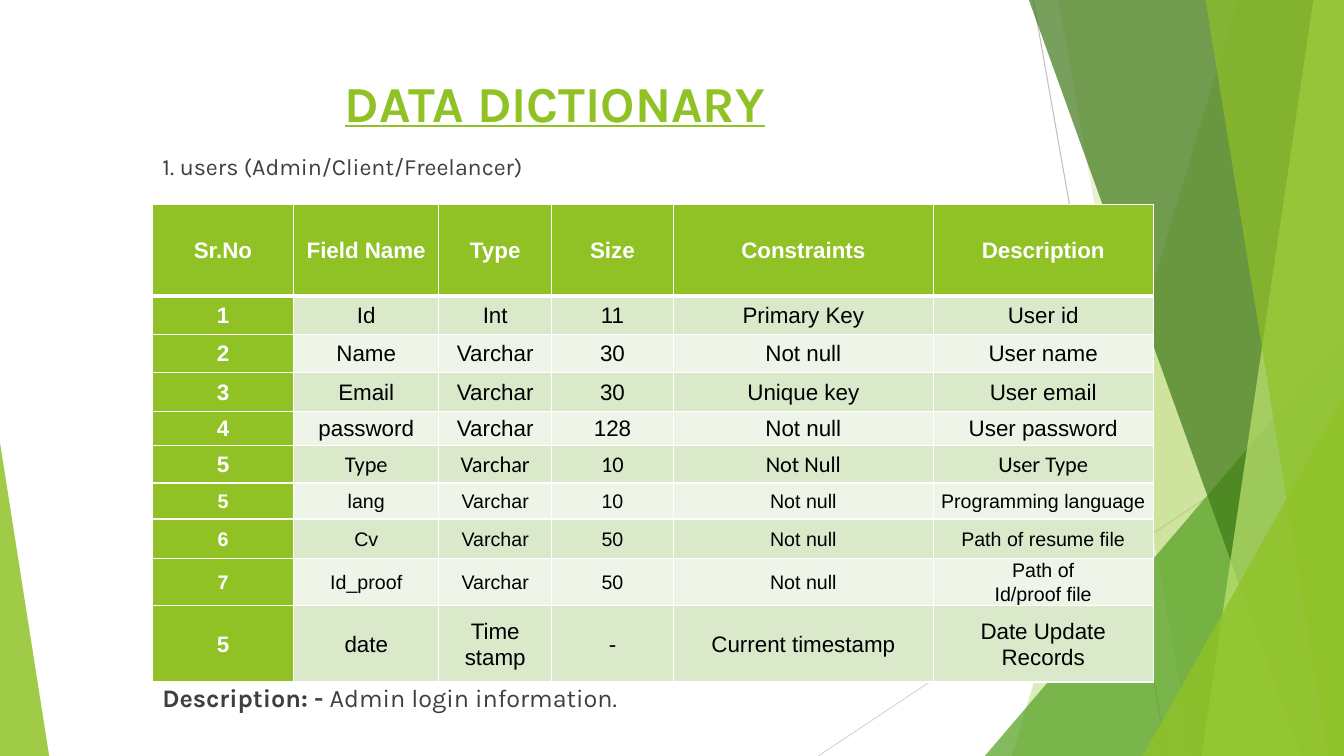
from dataclasses import dataclass

from pptx import Presentation
from pptx.dml.color import RGBColor
from pptx.enum.shapes import MSO_CONNECTOR as Connector, MSO_SHAPE as Preset
from pptx.enum.text import MSO_ANCHOR as Anchor, MSO_AUTO_SIZE as AutoSize, PP_ALIGN as Align
from pptx.oxml import parse_xml
from pptx.oxml.ns import nsdecls, qn
from pptx.util import Cm, Pt

WIDTH, HEIGHT = 33.87, 19.05
COLOURS = {
    "accent": "90C226", "green": "54A021", "forest": "3F7818", "lime": "BFE471",
    "row_dark": "DBE9CB", "row_light": "EEF4E7", "text": "3F3F3F",
    "black": "000000", "white": "FFFFFF", "grey": "BFBFBF", "pale_grey": "D8D8D8",
}


@dataclass
class Ray:
    start: tuple[float, float]
    end: tuple[float, float]
    colour: str


@dataclass
class Band:
    """A strip from its slanted left side to the right slide edge."""
    top_x: float
    bottom_x: float
    colour: str
    opacity: int


@dataclass
class Wedge:
    """A triangle standing on the bottom slide edge."""
    left: float
    top: float
    width: float
    apex: float
    colour: str
    opacity: int


@dataclass
class TextStyle:
    size: float
    colour: str
    font: str = "Karla"
    bold: bool = False
    underline: bool = False


@dataclass
class Row:
    height: float
    texts: list[str]
    size: int = 16
    font: str = "Arial"
    margin: float = 0.18


DECORATION = [
    Ray((26.04, 0), (29.41, HEIGHT), "grey"),
    Ray((WIDTH, 10.24), (20.62, HEIGHT), "pale_grey"),
    Band(31.19, 25.5, "accent", 30),
    Band(26.67, 30.05, "accent", 20),
    Wedge(24.82, 8.46, 9.05, 1, "green", 72),
    Band(25.93, 32.79, "forest", 70),
    Band(33.1, 30.28, "lime", 70),
    Band(30.38, 33.48, "accent", 65),
    Wedge(28.8, 9.98, 5.07, 1, "accent", 80),
    Wedge(0, 11.15, 1.24, 0, "accent", 85),
]

COLUMN_WIDTHS = [3.56, 3.66, 2.84, 3.07, 6.55, 5.54]
ROWS = [
    Row(2.29, ["Sr.No", "Field Name", "Type", "Size", "Constraints", "Description"]),
    Row(0.97, ["1", "Id", "Int", "11", "Primary Key", "User id"]),
    Row(0.97, ["2", "Name", "Varchar", "30", "Not null", "User name"]),
    Row(0.97, ["3", "Email", "Varchar", "30", "Unique key", "User email"]),
    Row(0.87, ["4", "password", "Varchar", "128", "Not null", "User password"]),
    Row(0.94, ["5", "Type", "Varchar", "10", "Not Null", "User Type"], font="Calibri"),
    Row(0.91, ["5", "lang", "Varchar", "10", "Not null", "Programming language"], 14, margin=0.15),
    Row(0.99, ["6", "Cv", "Varchar", "50", "Not null", "Path of resume file"], 14, margin=0.15),
    Row(1.02, ["7", "Id_proof", "Varchar", "50", "Not null", "Path of\nId/proof file"], 14, margin=0.15),
    Row(1.93, ["5", "date", "Time stamp", "-", "Current timestamp", "Date Update Records"]),
]


def rgb(name: str) -> RGBColor:
    return RGBColor.from_string(COLOURS[name])


def place(shape, left: float, top: float, width: float, height: float) -> None:
    shape.left, shape.top, shape.width, shape.height = map(Cm, (left, top, width, height))


def add_run(paragraph, text: str, style: TextStyle) -> None:
    run = paragraph.add_run()
    run.text = text
    font = run.font
    font.name, font.size = style.font, Pt(style.size)
    font.bold, font.underline = style.bold, style.underline
    font.color.rgb = rgb(style.colour)


def paint(shape, colour: str, opacity: int) -> None:
    shape.shadow.inherit = False
    shape.line.fill.background()
    shape.fill.solid()
    shape.fill.fore_color.rgb = rgb(colour)
    colour_element = shape.element.spPr.find(f"{qn('a:solidFill')}/{qn('a:srgbClr')}")
    colour_element.append(parse_xml(f'<a:alpha {nsdecls("a")} val="{opacity * 1000}"/>'))


def draw_ray(slide, ray: Ray) -> None:
    points = map(Cm, (*ray.start, *ray.end))
    connector = slide.shapes.add_connector(Connector.STRAIGHT, *points)
    connector.line.color.rgb = rgb(ray.colour)
    connector.line.width = Pt(0.75)
    connector.element.spPr.append(parse_xml(f'<a:effectLst {nsdecls("a")}/>'))


def draw_band(slide, band: Band) -> None:
    builder = slide.shapes.build_freeform(Cm(band.top_x), 0)
    corners = [(WIDTH, 0), (WIDTH, HEIGHT), (band.bottom_x, HEIGHT)]
    builder.add_line_segments([(Cm(x), Cm(y)) for x, y in corners], close=True)
    paint(builder.convert_to_shape(), band.colour, band.opacity)


def draw_wedge(slide, wedge: Wedge) -> None:
    box = map(Cm, (wedge.left, wedge.top, wedge.width, HEIGHT - wedge.top))
    triangle = slide.shapes.add_shape(Preset.ISOSCELES_TRIANGLE, *box)
    triangle.adjustments[0] = wedge.apex
    paint(triangle, wedge.colour, wedge.opacity)


def set_borders(cell, bottom_width: float) -> None:
    widths = {"lnL": 1, "lnR": 1, "lnT": 1, "lnB": bottom_width}
    for index, (side, width) in enumerate(widths.items()):
        cell._tc.get_or_add_tcPr().insert(index, parse_xml(
            f'<a:{side} {nsdecls("a")} w="{Pt(width)}"><a:solidFill>'
            f'<a:srgbClr val="{COLOURS["white"]}"/></a:solidFill></a:{side}>'))


def fill_cell(cell, text: str, row: Row, row_index: int, is_heading: bool) -> None:
    cell.vertical_anchor = Anchor.MIDDLE
    cell.margin_left = cell.margin_right = Cm(row.margin)
    cell.margin_top = cell.margin_bottom = 0
    cell.fill.solid()
    band = "row_dark" if row_index % 2 else "row_light"
    cell.fill.fore_color.rgb = rgb("accent" if is_heading else band)
    set_borders(cell, 1 if row_index else 3)
    style = (TextStyle(row.size, "white", "Arial", bold=True) if is_heading
             else TextStyle(row.size, "black", row.font))
    frame = cell.text_frame
    for index, line in enumerate(text.split("\n")):
        paragraph = frame.add_paragraph() if index else frame.paragraphs[0]
        paragraph.alignment, paragraph.line_spacing = Align.CENTER, 1.07
        add_run(paragraph, line, style)


def draw_table(slide) -> None:
    box = map(Cm, (3.84, 5.16, sum(COLUMN_WIDTHS), sum(row.height for row in ROWS)))
    table = slide.shapes.add_table(len(ROWS), len(COLUMN_WIDTHS), *box).table
    table.horz_banding = False
    for column, width in zip(table.columns, COLUMN_WIDTHS):
        column.width = Cm(width)
    for row_index, row in enumerate(ROWS):
        table.rows[row_index].height = Cm(row.height)
        for column_index, text in enumerate(row.texts):
            is_heading = row_index == 0 or column_index == 0
            fill_cell(table.cell(row_index, column_index), text, row, row_index, is_heading)


def write_placeholder(slide, shape, text: str, style: TextStyle, align: Align):
    slide.shapes.element.append(shape.element)  # bring in front of the decoration
    frame = shape.text_frame
    frame.auto_size, frame.vertical_anchor = AutoSize.NONE, Anchor.TOP
    paragraph = frame.paragraphs[0]
    paragraph.alignment, paragraph.space_before = align, Pt(0)
    add_run(paragraph, text, style)
    return paragraph


def main() -> None:
    presentation = Presentation()
    presentation.slide_width, presentation.slide_height = Cm(WIDTH), Cm(HEIGHT)
    slide = presentation.slides.add_slide(presentation.slide_layouts[1])
    title, body = slide.placeholders

    # Green facets at the slide edges
    painters = {Ray: draw_ray, Band: draw_band, Wedge: draw_wedge}
    for part in DECORATION:
        painters[type(part)](slide, part)

    # Title and table caption
    place(title, 1.88, 1.7, 23.88, 3.66)
    title.text_frame.margin_left = Cm(0.58)
    write_placeholder(slide, title, "DATA DICTIONARY",
                      TextStyle(36, "accent", bold=True, underline=True), Align.CENTER)
    place(body, 3.84, 3.78, 12.8, 0.91)
    caption = write_placeholder(slide, body, "1. users (Admin/Client/Freelancer)",
                                TextStyle(16.6, "text"), Align.LEFT)
    caption.line_spacing = 0.9
    properties = caption._p.get_or_add_pPr()
    properties.set("marL", "0")
    properties.set("indent", "0")
    properties.append(parse_xml(f'<a:buNone {nsdecls("a")}/>'))

    # Field table and the note below it
    draw_table(slide)
    note = slide.shapes.add_textbox(*map(Cm, (3.84, 17.07, 18.9, 1.98))).text_frame
    note.word_wrap = True
    add_run(note.paragraphs[0], "Description: -", TextStyle(18, "text", bold=True))
    add_run(note.paragraphs[0], " Admin login information.", TextStyle(18, "text"))

    presentation.save("out.pptx")


if __name__ == "__main__":
    main()
